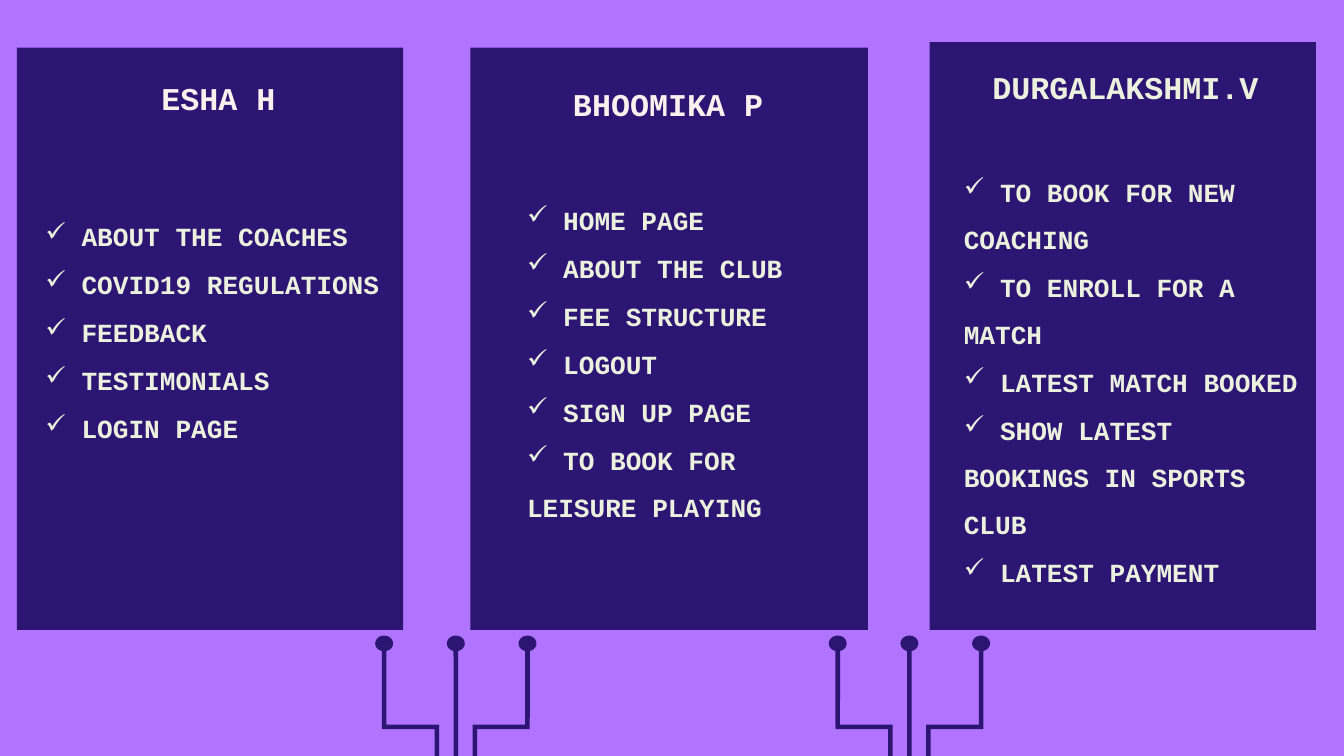
from math import cos, radians, sin

from pptx import Presentation
from pptx.dml.color import RGBColor
from pptx.enum.shapes import MSO_SHAPE
from pptx.enum.text import MSO_AUTO_SIZE, PP_ALIGN
from pptx.oxml.xmlchemy import OxmlElement
from pptx.util import Inches, Pt
from dataclasses import dataclass

RECT = MSO_SHAPE.RECTANGLE
GROW = MSO_AUTO_SIZE.SHAPE_TO_FIT_TEXT
LEFT = PP_ALIGN.LEFT
CENTER = PP_ALIGN.CENTER


@dataclass
class Theme:
    back: RGBColor = RGBColor.from_string("B074FF")
    dark: RGBColor = RGBColor.from_string("2D1673")
    rose: RGBColor = RGBColor.from_string("FAF1EF")
    lime: RGBColor = RGBColor.from_string("EBF1DE")
    font: str = "Courier New"
    head: int = 34
    body: int = 28


theme = Theme()
COLS, ROWS = 240, 135

deck = Presentation()
deck.slide_width = Inches(20)
deck.slide_height = Inches(11.25)
CELL = deck.slide_width // COLS
slide = deck.slides.add_slide(deck.slide_layouts[6])
slide.background.fill.solid()
slide.background.fill.fore_color.rgb = theme.back


def paint(shape):
    shape.fill.solid()
    shape.fill.fore_color.rgb = theme.dark
    shape.line.fill.background()
    shape.shadow.inherit = False


def write(area, lines, size, color, align, inset, before, mark=None):
    box = slide.shapes.add_textbox(*[round(n * CELL) for n in area])
    frame = box.text_frame
    frame.word_wrap = True
    frame.auto_size = GROW
    frame.margin_left = frame.margin_right = frame.margin_bottom = 0
    frame.margin_top = Inches(inset)
    for index, line in enumerate(lines):
        para = frame.add_paragraph() if index else frame.paragraphs[0]
        para.alignment = align
        para.space_before = Pt(before)
        if mark:
            para.line_spacing = 1.5
            props = para._p.get_or_add_pPr()
            props.set("marL", str(Inches(0.01)))
            props.set("indent", "0")
            sign = OxmlElement("a:buChar")
            sign.set("char", mark)
            props.append(sign)
        run = para.add_run()
        run.text = line
        run.font.name = theme.font
        run.font.size = Pt(size)
        run.font.bold = True
        run.font.color.rgb = color


cards = [
    {
        "panel": (3, 8.5, 69, 104), "title": (13, 13.5), "list": (8, 36.5, 61, 58.5),
        "name": "ESHA H", "color": theme.rose,
        "tasks": [" ABOUT THE COACHES", " COVID19 REGULATIONS", " FEEDBACK",
                  " TESTIMONIALS", " LOGIN PAGE"],
    },
    {
        "panel": (84, 8.5, 71, 104), "title": (95, 14.5), "list": (94, 33.5, 47, 66.7),
        "name": "BHOOMIKA P ", "color": theme.rose,
        "tasks": [" HOME PAGE", " ABOUT THE CLUB", " FEE STRUCTURE", " LOGOUT",
                  " SIGN UP PAGE", " TO BOOK FOR LEISURE PLAYING"],
    },
    {
        "panel": (166, 7.5, 69, 105), "title": (175, 11.5), "list": (172, 28.5, 61, 92.4),
        "name": "DURGALAKSHMI.V", "color": theme.lime,
        "tasks": [" TO BOOK FOR NEW COACHING", " TO ENROLL FOR A MATCH",
                  " LATEST MATCH BOOKED", " SHOW LATEST BOOKINGS IN SPORTS CLUB",
                  " LATEST PAYMENT"],
    },
]

for card in cards:
    paint(slide.shapes.add_shape(RECT, *[round(n * CELL) for n in card["panel"]]))
    write((*card["title"], 52, 7.5), [card["name"]], theme.head, card["color"],
          CENTER, 0.05, 3.7)
    write(card["list"], card["tasks"], theme.body, theme.lime, LEFT, 0.01, 1, "✓")

HALF = 0.4
WIDE, TALL, KNOB = 1.6, 1.4, 114.9
BEND = 129.8

for axis in (81.4, 162.4):
    path = None
    for side, knob, foot in ((1, 0, 0), (-1, 12.8, 3.4), (1, -12.8, -3.4)):
        top, end, half = axis + knob, axis + foot, side * HALF
        dots = [(end + half, ROWS), (end - half, ROWS),
                (end - half, BEND + HALF), (top - half, BEND + HALF)]
        for turn in range(105, 436, 15):
            angle = radians(turn)
            dots.append((top + side * WIDE * cos(angle), KNOB + TALL * sin(angle)))
        dots += [(top + half, BEND - HALF), (end + half, BEND - HALF)]
        dots = [(round(x * CELL), round(y * CELL)) for x, y in dots]
        if path is None:
            path = slide.shapes.build_freeform(*dots[0])
        else:
            path.move_to(*dots[0])
        path.add_line_segments(dots[1:], close=True)
    paint(path.convert_to_shape())

deck.save("out.pptx")
